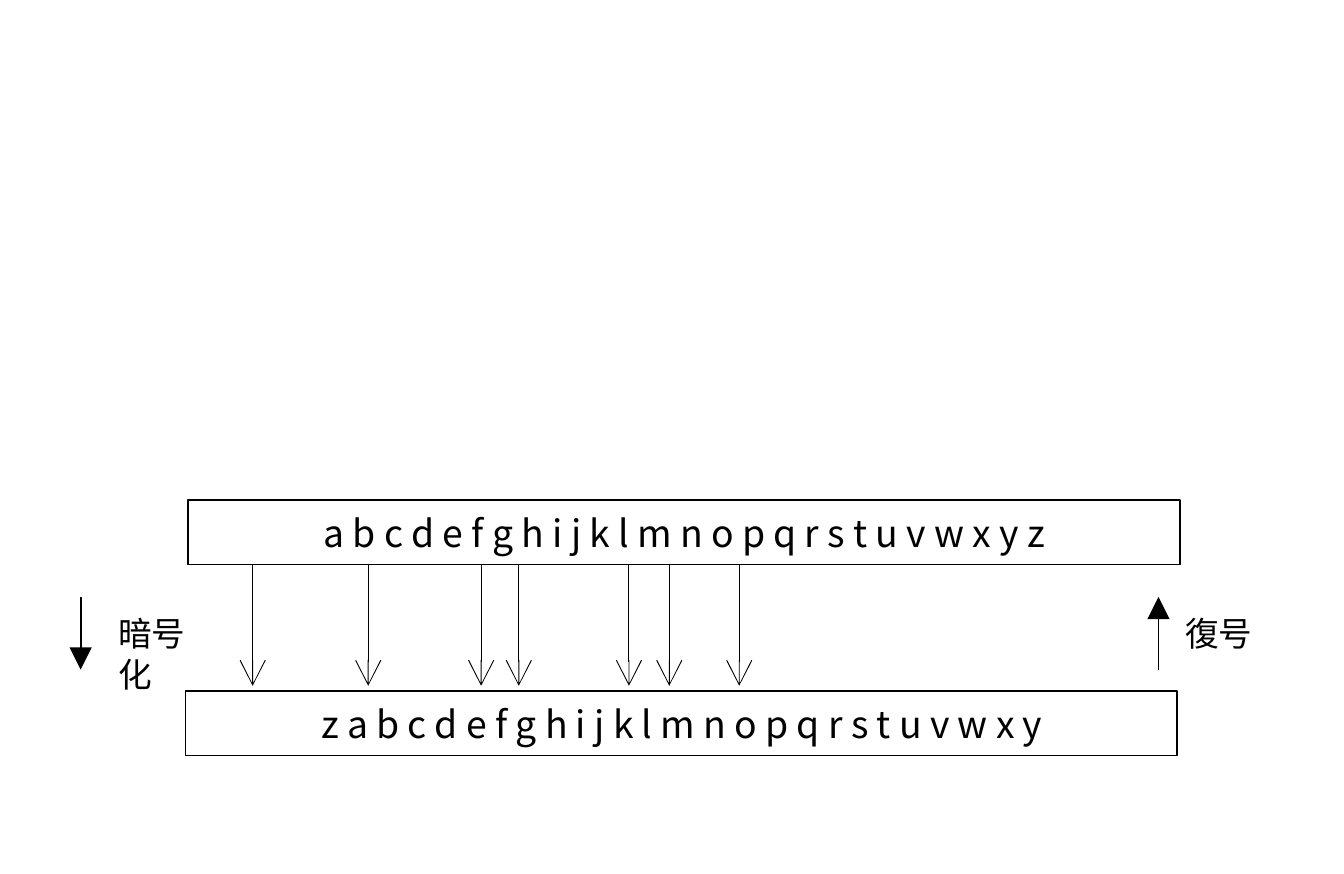
from lxml.etree import SubElement
from pptx import Presentation
from pptx.dml.color import RGBColor
from pptx.enum.shapes import MSO_CONNECTOR, MSO_SHAPE
from pptx.enum.text import MSO_ANCHOR, MSO_AUTO_SIZE, PP_ALIGN
from pptx.oxml.ns import qn
from pptx.util import Inches, Pt

# Content
FONT, BLACK = "Noto Sans CJK JP", "000000"
LETTERS = "abcdefghijklmnopqrstuvwxyz"
SHIFT = 1
CIPHER = LETTERS[-SHIFT:] + LETTERS[:-SHIFT]
BAR_W, BAR_H = 3.69, 0.24
PLAIN_TOP, CIPHER_TOP = 1.86, 2.57
BARS = [(LETTERS, 0.7, PLAIN_TOP), (CIPHER, 0.69, CIPHER_TOP)]
MAPPING_XS = [0.94, 1.37, 1.79, 1.93, 2.34, 2.49, 2.75]
# label, label left, label width, arrow x, arrow start, arrow end
DIRECTIONS = [("暗号化", 0.39, 0.47, 0.3, 2.22, 2.49),
              ("復号", 4.36, 0.35, 4.31, 2.49, 2.22)]
LABEL_TOP, LABEL_H = 2.26, 0.2

prs = Presentation()
prs.slide_width, prs.slide_height = Inches(5), Inches(3.25)
slide = prs.slides.add_slide(prs.slide_layouts[6])


def color(value):
    return RGBColor.from_string(value)


def write(tf, text, size, align):
    tf.word_wrap = False
    p = tf.paragraphs[0]
    p.text = text
    p.alignment = align
    for r in p.runs:
        f = r.font
        f.name, f.size = FONT, Pt(size)
        f.color.rgb = color(BLACK)
        SubElement(f._element, qn("a:ea"), typeface=FONT)


def add_arrow(x, start, end, width, head):
    line = slide.shapes.add_connector(
        MSO_CONNECTOR.STRAIGHT, Inches(x), Inches(start), Inches(x), Inches(end))
    line.line.color.rgb = color(BLACK)
    line.line.width = Pt(width)
    SubElement(line.line._get_or_add_ln(), qn("a:tailEnd"), type=head)
    SubElement(line._element.spPr, qn("a:effectLst"))


# Alphabet bars
for letters, left, top in BARS:
    sp = slide.shapes.add_shape(
        MSO_SHAPE.RECTANGLE, Inches(left), Inches(top), Inches(BAR_W), Inches(BAR_H))
    sp.shadow.inherit = False
    sp.fill.background()
    sp.line.color.rgb = color(BLACK)
    sp.line.width = Pt(0.5)
    sp.text_frame.vertical_anchor = MSO_ANCHOR.MIDDLE
    write(sp.text_frame, " ".join(letters), 10, PP_ALIGN.CENTER)

# Direction arrows and their labels
for label, left, width, x, start, end in DIRECTIONS:
    add_arrow(x, start, end, 0.5, "triangle")
    box = slide.shapes.add_textbox(
        Inches(left), Inches(LABEL_TOP), Inches(width), Inches(LABEL_H))
    tf = box.text_frame
    tf.margin_left = tf.margin_right = Inches(0.05)
    tf.margin_top = tf.margin_bottom = Inches(0.02)
    write(tf, label, 9, PP_ALIGN.LEFT)
    tf.auto_size = MSO_AUTO_SIZE.SHAPE_TO_FIT_TEXT

# Letter mapping arrows
for x in MAPPING_XS:
    add_arrow(x, PLAIN_TOP + BAR_H, CIPHER_TOP - 0.02, 0.25, "arrow")

prs.save("out.pptx")
